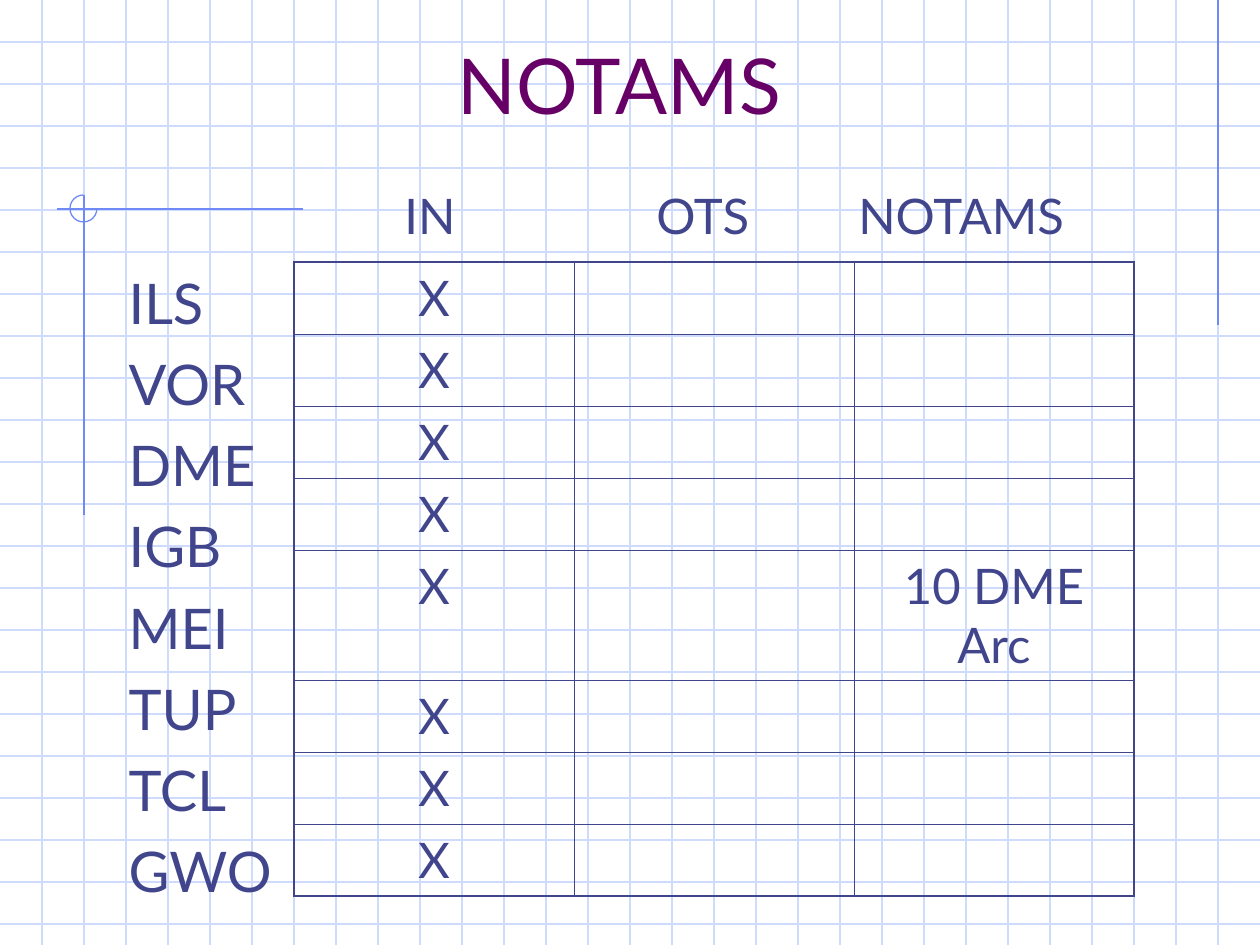
from lxml import etree
from pptx import Presentation
from pptx import util as u
from pptx.dml.color import RGBColor
from pptx.enum import shapes, text
from pptx.oxml import ns

EMU_PER_PX = 914400 / 126
WIDTH, HEIGHT = 1260, 945
GRID_STEP = 42
FONT = "Lato"
INK, PLUM, GRID_BLUE, ACCENT_BLUE = "40458C", "660066", "CFDBFD", "6F89F7"

STATIONS = ["ILS", "VOR", "DME", "IGB", "MEI", "TUP", "TCL", "GWO"]
NOTES = {"MEI": "10 DME Arc"}
HEADINGS = ["IN", "OTS", "NOTAMS"]
HEADING_STOPS = [252, 454]
COLUMN_WIDTH, ROW_HEIGHT, NOTE_ROW_HEIGHT = 280, 72, 130
OUTER_BORDER, INNER_BORDER = 1.08, 0.45


def px(length):
    return u.Emu(round(length * EMU_PER_PX))


def colour(hex_value):
    return RGBColor.from_string(hex_value)


def add_xml(parent, tag, **attributes):
    return etree.SubElement(parent, ns.qn(tag), attributes)


def set_values(target, values):
    for name, value in values.items():
        setattr(target, name, value)


def place(shape, left, top, width, height):
    set_values(shape, {"left": px(left), "top": px(top),
                       "width": px(width), "height": px(height)})


def format_frame(frame, anchor=text.MSO_ANCHOR.TOP):
    set_values(frame, {
        "word_wrap": True, "auto_size": text.MSO_AUTO_SIZE.NONE,
        "vertical_anchor": anchor,
        "margin_left": u.Inches(0.1), "margin_right": u.Inches(0.1),
        "margin_top": u.Inches(0.05), "margin_bottom": u.Inches(0.05)})


def write(paragraph, words, size, ink=INK, **layout):
    run = paragraph.add_run()
    run.text = words
    set_values(run.font, {"name": FONT, "size": u.Pt(size), "bold": False})
    run.font.color.rgb = colour(ink)
    set_values(paragraph, layout)


def add_rule(slide, start, end, ink):
    rule = slide.shapes.add_connector(
        shapes.MSO_CONNECTOR.STRAIGHT, *map(px, start + end))
    rule.line.color.rgb = colour(ink)
    rule.line.width = u.Pt(0.75)
    add_xml(rule.element.spPr, "a:effectLst")


def add_graph_paper(slide):
    for y in range(GRID_STEP, HEIGHT, GRID_STEP):
        add_rule(slide, (0, y), (WIDTH, y), GRID_BLUE)
    for x in range(GRID_STEP, WIDTH, GRID_STEP):
        add_rule(slide, (x, 0), (x, HEIGHT), GRID_BLUE)


def add_accents(slide):
    """Draw the margin rules and the three-quarter circle where they cross."""
    for start, end in [((1218, 0), (1218, 325)),
                       ((303, 209), (57, 209)),
                       ((84, 195), (84, 515))]:
        add_rule(slide, start, end, ACCENT_BLUE)
    arc = slide.shapes.add_shape(
        shapes.MSO_SHAPE.ARC, *map(px, (70, 195, 27, 27)))
    arc.adjustments[0] = 0
    arc.adjustments[1] = 162
    arc.shadow.inherit = False
    arc.fill.background()
    arc.line.color.rgb = colour(ACCENT_BLUE)
    arc.line.width = u.Pt(0.75)


def fill_title(title):
    place(title, 84, 42, 1071, 94)
    format_frame(title.text_frame, text.MSO_ANCHOR.BOTTOM)
    write(title.text_frame.paragraphs[0], "NOTAMS", 44, PLUM,
          alignment=text.PP_ALIGN.CENTER)


def fill_stations(body):
    place(body, 116, 262, 199, 662)
    frame = body.text_frame
    format_frame(frame)
    for index, station in enumerate(STATIONS):
        paragraph = frame.add_paragraph() if index else frame.paragraphs[0]
        write(paragraph, station, 32, space_before=u.Pt(8))
        properties = paragraph._p.get_or_add_pPr()
        properties.set("marL", str(px(48)))
        properties.set("indent", str(px(-48)))
        add_xml(properties, "a:buNone")


def add_border(cell, side, width):
    line = add_xml(cell._tc.get_or_add_tcPr(), f"a:ln{side}",
                   w=str(u.Pt(width)))
    add_xml(add_xml(line, "a:solidFill"), "a:srgbClr", val=INK)


def add_status_table(slide):
    last_row, last_column = len(STATIONS) - 1, len(HEADINGS) - 1
    heights = [NOTE_ROW_HEIGHT if station in NOTES else ROW_HEIGHT
               for station in STATIONS]
    table = slide.shapes.add_table(
        len(STATIONS), len(HEADINGS), px(294), px(262),
        px(COLUMN_WIDTH * len(HEADINGS)), px(sum(heights))).table
    set_values(table, {"first_row": False, "horz_banding": False})
    for column in table.columns:
        column.width = px(COLUMN_WIDTH)
    for r, (station, height) in enumerate(zip(STATIONS, heights)):
        table.rows[r].height = px(height)
        for c, words in enumerate(["X", "", NOTES.get(station, "")]):
            cell = table.cell(r, c)
            outer_sides = {"L": c == 0, "R": c == last_column,
                           "T": r == 0, "B": r == last_row}
            for side, outer in outer_sides.items():
                add_border(cell, side, OUTER_BORDER if outer else INNER_BORDER)
            cell.fill.background()
            if words:
                write(cell.text_frame.paragraphs[0], words, 28,
                      alignment=text.PP_ALIGN.CENTER, space_before=u.Pt(7))


def add_headings(slide):
    headings = slide.shapes.add_textbox(*map(px, (392, 179, 689, 72)))
    format_frame(headings.text_frame)
    paragraph = headings.text_frame.paragraphs[0]
    write(paragraph, "\t".join(HEADINGS), 28)
    stops = add_xml(paragraph._p.get_or_add_pPr(), "a:tabLst")
    for stop in HEADING_STOPS:
        add_xml(stops, "a:tab", pos=str(px(stop)), algn="l")


def main():
    deck = Presentation()
    set_values(deck, {"slide_width": px(WIDTH), "slide_height": px(HEIGHT)})
    slide = deck.slides.add_slide(deck.slide_layouts[1])
    slide.background.fill.solid()
    slide.background.fill.fore_color.rgb = colour("FFFFFF")
    title, body = slide.placeholders
    add_graph_paper(slide)
    add_accents(slide)
    for placeholder in (title, body):  # bring in front of the graph paper
        slide.shapes._spTree.append(placeholder.element)
    fill_title(title)
    fill_stations(body)
    add_status_table(slide)
    add_headings(slide)
    deck.save("out.pptx")


if __name__ == "__main__":
    main()
